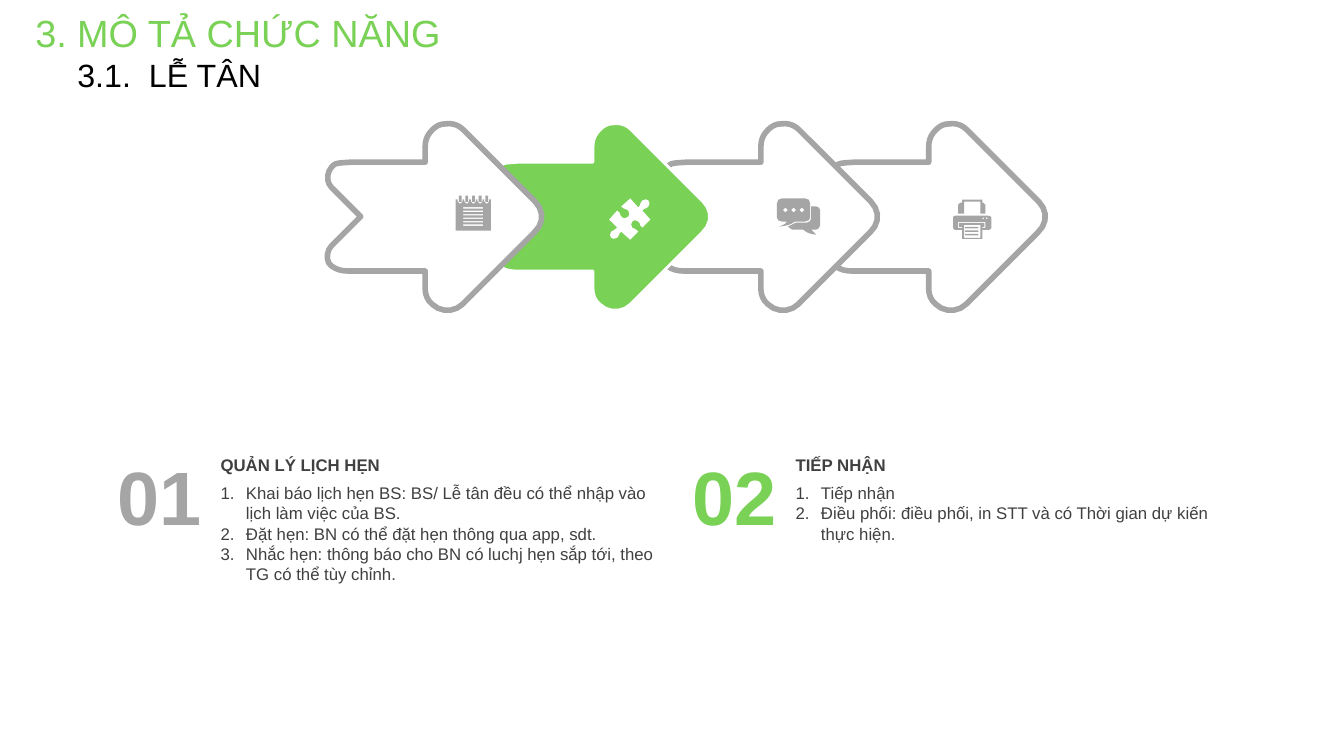
from math import ceil, dist

from pptx import Presentation
from pptx.dml.color import RGBColor
from pptx.enum.text import MSO_ANCHOR as Anchor, MSO_AUTO_SIZE as AutoSize, PP_ALIGN as Align
from pptx.oxml.ns import qn
from pptx.util import Cm, Pt
from lxml import etree

COLORS = {"green": "79D155", "gray": "A5A5A5", "text": "404040",
          "black": "000000", "white": "FFFFFF"}
UNIT = Cm(2.54) / 100  # outlines are drawn in hundredths of an inch
MAX_STEPS = 5
DEFAULT_INSETS = (0.25, 0.13, 0.25, 0.13)
BODY_INSETS = (0, 0.13, 0.25, 0.13)

ARROW = """M 123 2 C 130 1 136 3 141 8 L 212 79 C 221 88 221 101 211 110 L 140 181
C 132 189 118 189 110 181 C 105 177 103 171 103 166 L 103 148 L 30 148
C 23 148 17 148 10 143 C 4 139 5 128 10 123 L 39 94 L 10 65
C 5 60 5 51 10 45 C 14 41 13 41 30 40 L 103 40 L 103 25
C 103 18 105 13 110 8 C 114 4 118 2 123 2 Z"""

PUZZLE = """M 39 2 C 40 4 41 6 39 8 C 37 11 35 9 33 12 L 41 21 L 33 29
C 30 27 31 24 29 23 C 27 21 24 21 23 23 C 22 24 21 27 23 29
C 26 31 27 30 29 33 L 21 41 L 12 33 C 9 35 11 36 8 39 C 6 41 3 40 2 39
C 1 38 0 35 2 33 C 4 31 6 32 8 29 L 0 21 L 8 12 C 12 14 10 17 13 19
C 15 20 17 20 19 18 C 20 17 21 14 19 12 C 16 10 15 11 12 8 L 21 0 L 29 9
C 32 6 30 5 33 2 C 35 0 38 1 39 2 Z"""

BUBBLES = """M 34 8 L 39 8 C 41 8 43 10 43 12 L 43 26 C 43 29 41 31 39 31 L 34 31
L 39 36 C 31 35 30 34 26 31 L 15 31 L 11 28
L 19 24 L 30 24 C 32 24 34 22 34 20 Z
M 5 0 L 28 0 C 31 0 33 2 33 5 L 33 19 C 33 21 31 23 28 23 L 18 23
C 12 27 10 27 2 28 C 7 26 8 26 10 23 L 5 23 C 2 23 0 21 0 19 L 0 5
C 0 2 2 0 5 0 Z"""

PRINTER = """M 11 25 L 27 25 L 27 38 L 11 38 Z
M 5 22 L 5 28 L 9 28 L 9 27 L 6 27 L 6 23 L 31 23 L 31 27 L 29 27 L 29 28
L 32 28 L 32 22 Z
M 2 16 L 35 16 L 37 16.5 L 38 18 L 38 28 L 37 29.5 L 35 30 L 29 30 L 29 39
L 9 39 L 9 30 L 2 30 L 0.5 29.5 L 0 28 L 0 18 L 0.5 16.5 Z
M 9 0 L 29 0 L 29 3 L 30 3 L 32 5 L 32 14 L 27 14 L 27 2 L 11 2
L 11 14 L 5 14 L 5 5 L 7 3 L 9 3 Z"""


def rgb(name):
    return RGBColor.from_string(COLORS[name])


def dot(x, y, r):
    k = 0.55 * r
    return (f" M {x} {y - r} C {x + k} {y - r} {x + r} {y - k} {x + r} {y}"
            f" C {x + r} {y + k} {x + k} {y + r} {x} {y + r}"
            f" C {x - k} {y + r} {x - r} {y + k} {x - r} {y}"
            f" C {x - r} {y - k} {x - k} {y - r} {x} {y - r} Z")


def bar(x, y, w, h):
    return f" M {x} {y} L {x + w} {y} L {x + w} {y + h} L {x} {y + h} Z"


def notepad():
    edge, pins = "M 0 4", ""
    for i in range(5):
        x = 6.6 * i
        edge += f" L {x + 2} 4 L {x + 2} 6 L {x + 3.6} 8 L {x + 5.6} 8 L {x + 7} 6 L {x + 7} 4"
        pins += bar(x + 3.2, 0.3, 2.8, 6.4)
    rows = "".join(bar(7.5, 11.8 + 3.45 * i, 20, 1.4) for i in range(6))
    return edge + " L 35 4 L 35 35 L 0 35 Z" + pins + rows


def chat():
    return BUBBLES + "".join(dot(8.4 + 8.2 * i, 11.5, 2.5) for i in range(3))


def printer():
    lines = "".join(bar(12, 27 + 3.5 * i, 13, 1.5) for i in range(3))
    return PRINTER + lines + dot(29.8, 18.5, 1.1) + dot(33.3, 18.5, 1.1)


def curve_points(ctrl):
    """Split a curve into few lines, more of them the longer it is."""
    steps = min(MAX_STEPS, ceil(sum(map(dist, ctrl, ctrl[1:])) / 4.5))
    for step in range(1, steps + 1):
        t = step / steps
        weights = ((1 - t) ** 3, 3 * t * (1 - t) ** 2, 3 * t * t * (1 - t), t ** 3)
        yield tuple(sum(w * c[axis] for w, c in zip(weights, ctrl)) for axis in (0, 1))


def contours(outline):
    """Turn M/L/C/Z commands into point lists."""
    result = []
    for part in outline.split("Z"):
        pts = []
        for command in part.replace("L", "|").replace("C", "|").replace("M", "|").split("|"):
            n = [float(v) for v in command.split()]
            if len(n) == 2:
                pts.append((n[0], n[1]))
            elif n:
                pts.extend(curve_points([pts[-1], *zip(n[::2], n[1::2])]))
        if pts:
            result.append([(x * UNIT, y * UNIT) for x, y in pts])
    return result


def add_outline(s, left, top, outline, fill, line=None, width=0):
    first, *others = contours(outline)
    builder = s.shapes.build_freeform(*first[0])
    builder.add_line_segments(first[1:], close=True)
    for pts in others:
        builder.move_to(*pts[0])
        builder.add_line_segments(pts[1:], close=True)
    sp = builder.convert_to_shape(Cm(left), Cm(top))
    sp.shadow.inherit = False
    sp.fill.solid()
    sp.fill.fore_color.rgb = rgb(fill)
    if line:
        sp.line.color.rgb = rgb(line)
        sp.line.width = Pt(width)
    else:
        sp.line.fill.background()


def add_text(shapes, box, lines, size, color, bold=False, align=Align.LEFT,
             anchor=Anchor.TOP, insets=DEFAULT_INSETS, grow=True):
    tf = shapes.add_textbox(*map(Cm, box)).text_frame
    tf.word_wrap = True
    tf.auto_size = AutoSize.SHAPE_TO_FIT_TEXT if grow else AutoSize.NONE
    tf.vertical_anchor = anchor
    tf.margin_left, tf.margin_top, tf.margin_right, tf.margin_bottom = map(Cm, insets)
    for i, text in enumerate(lines):
        p = tf.paragraphs[0] if i == 0 else tf.add_paragraph()
        p.alignment = align
        r = p.add_run()
        r.text = text
        r.font.name, r.font.size, r.font.bold = "Arial", Pt(size), bold
        r.font.color.rgb = rgb(color)
    return tf


def number_paragraphs(tf):
    for p in tf.paragraphs:
        pPr = p._p.get_or_add_pPr()
        pPr.set("marL", str(Cm(0.64)))
        pPr.set("indent", str(-Cm(0.64)))
        etree.SubElement(pPr, qn("a:buAutoNum"), type="arabicPeriod")


def add_heading(s, left, top):
    for box, text, size, color in (
            ((left, top, 12.4, 1.22), "3. MÔ TẢ CHỨC NĂNG", 27, "green"),
            ((left + 1.06, top + 1.12, 6.65, 1.22), "3.1.  LỄ TÂN", 23, "black")):
        p = add_text(s.shapes, box, [text], size, color, grow=False).paragraphs[0]
        p.line_spacing = 0.9
        p.space_before = Pt(10)


def add_arrow_chain(s, left, top, pitch=4.23, active=1):
    icons = [(notepad(), 3.38, 1.85), (PUZZLE, 3.02, 1.93),
             (chat(), 3.02, 1.93), (printer(), 3.23, 1.96)]
    for i in reversed(range(len(icons))):
        style = ("green", "white", 2) if i == active else ("white", "gray", 4)
        add_outline(s, left + i * pitch, top, ARROW, *style)
    for i, (icon, dx, dy) in enumerate(icons):
        add_outline(s, left + i * pitch + dx, top + dy, icon,
                    "white" if i == active else "gray")


def add_feature(s, left, top, number, color, title, items, height):
    group = s.shapes.add_group_shape().shapes
    add_text(group, (left + 2.87, top, 11.3, 0.76), [title], 12, "text", bold=True,
             anchor=Anchor.MIDDLE, insets=BODY_INSETS)
    number_paragraphs(add_text(group, (left + 2.87, top + 0.71, 11.3, height), items,
                               12, "text", insets=BODY_INSETS))
    add_text(s.shapes, (left, top, 2.39, 2.31), [number], 54, color, bold=True,
             align=Align.RIGHT, anchor=Anchor.MIDDLE, insets=(0, 0, 0, 0))


def main():
    prs = Presentation()
    prs.slide_width, prs.slide_height = Cm(33.87), Cm(19.05)
    s = prs.slides.add_slide(prs.slide_layouts[6])
    add_arrow_chain(s, 8.1, 3.07)
    add_feature(s, 2.69, 11.33, "01", "gray", "QUẢN LÝ LỊCH HẸN", [
        "Khai báo lịch hẹn BS: BS/ Lễ tân đều có thể nhập vào lịch làm việc của BS.",
        "Đặt hẹn: BN có thể đặt hẹn thông qua app, sdt.",
        "Nhắc hẹn: thông báo cho BN có luchj hẹn sắp tới, theo TG có thể tùy chỉnh."], 2.82)
    add_feature(s, 17.18, 11.33, "02", "green", "TIẾP NHẬN", [
        "Tiếp nhận",
        "Điều phối: điều phối, in STT và có Thời gian dự kiến thực hiện."], 1.8)
    add_heading(s, 0.64, 0.25)
    prs.save("out.pptx")


if __name__ == "__main__":
    main()
